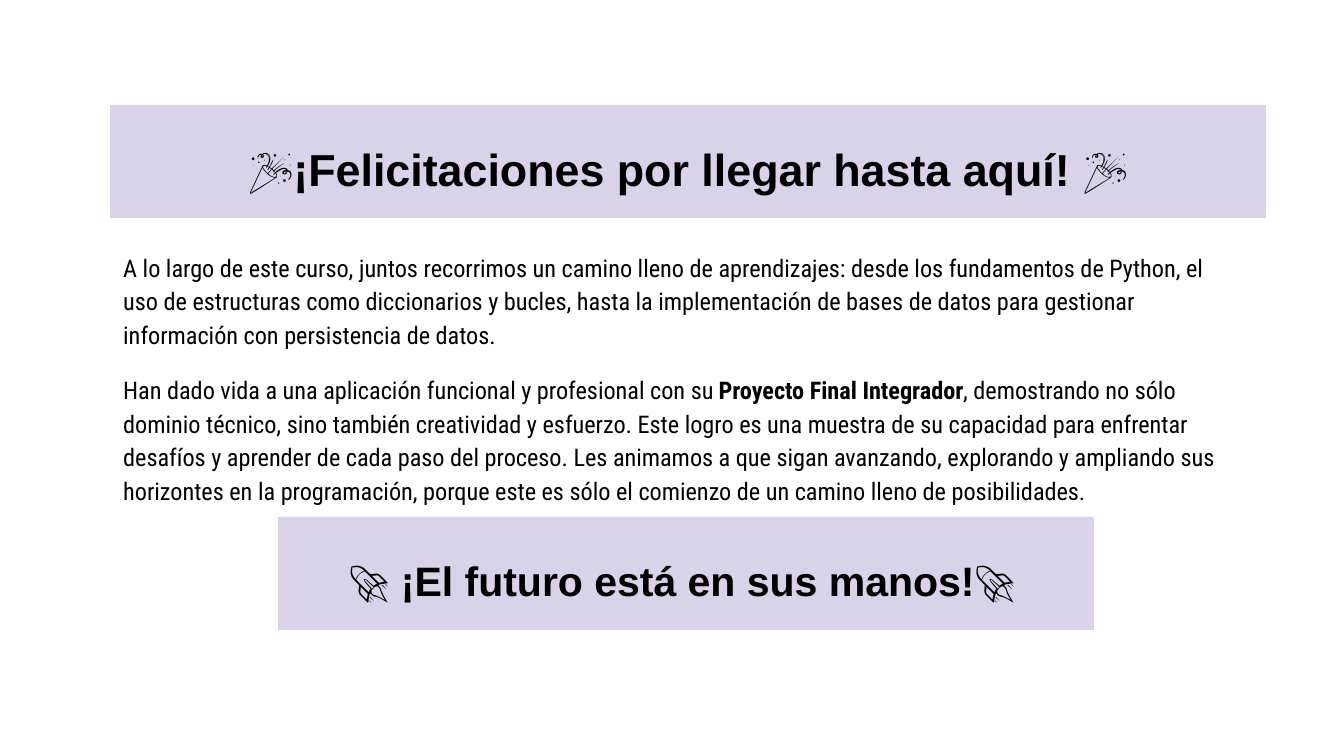
import pptx
import pptx.dml.color
import pptx.enum.shapes
import pptx.enum.text
import pptx.util

SCALE = 914400 / 134.4  # EMU per px
COLORS = {"band": "D9D2E9", "text": "000000"}
LEFT, WIDTH = 110, 1156


def px(*sizes):
    return [pptx.util.Emu(round(size * SCALE)) for size in sizes]


def color(name):
    return pptx.dml.color.RGBColor.from_string(COLORS[name])


class Page:
    def __init__(self, slide):
        self.slide = slide
        self.head_font = "Arial"
        self.body_font = "Roboto Condensed"
        self.inset = pptx.util.Inches(0.1)

    def band(self, *box):
        shape = self.slide.shapes.add_shape(
            pptx.enum.shapes.MSO_SHAPE.RECTANGLE, *px(*box))
        shape.shadow.inherit = False
        shape.fill.solid()
        shape.fill.fore_color.rgb = color("band")
        shape.line.fill.background()

    def frame(self, *box):
        frame = self.slide.shapes.add_textbox(*px(*box)).text_frame
        frame.word_wrap = True
        frame.auto_size = pptx.enum.text.MSO_AUTO_SIZE.SHAPE_TO_FIT_TEXT
        frame.margin_left = frame.margin_right = self.inset
        frame.margin_top = frame.margin_bottom = self.inset
        return frame

    def style(self, para, font, size, before, after):
        para.line_spacing = 1.15
        para.space_before = pptx.util.Pt(before)
        para.space_after = pptx.util.Pt(after)
        para.font.name = font
        para.font.size = pptx.util.Pt(size)
        para.font.color.rgb = color("text")

    def title(self, text, size, *box):
        para = self.frame(*box).paragraphs[0]
        para.text = text
        para.alignment = pptx.enum.text.PP_ALIGN.CENTER
        self.style(para, self.head_font, size, 14, 4)
        para.font.bold = True

    def body(self, paras, *box):
        """Each paragraph is a list of runs, plain and bold by turns."""
        frame = self.frame(*box)
        for i, runs in enumerate(paras):
            para = frame.add_paragraph() if i else frame.paragraphs[0]
            last = i == len(paras) - 1
            self.style(para, self.body_font, 13, 12, 12 if last else 0)
            for j, text in enumerate(runs):
                run = para.add_run()
                run.text = text
                if j % 2:
                    run.font.bold = True


def main():
    deck = pptx.Presentation()
    deck.slide_width, deck.slide_height = px(1344, 756)
    page = Page(deck.slides.add_slide(deck.slide_layouts[6]))

    # Opening band
    page.band(LEFT, 105, WIDTH, 113)
    page.title("🎉¡Felicitaciones por llegar hasta aquí! 🎉", 24,
               LEFT, 120, WIDTH, 82)

    # Message
    page.body([
        ["A lo largo de este curso, juntos recorrimos un camino lleno de "
         "aprendizajes: desde los fundamentos de Python, el uso de "
         "estructuras como diccionarios y bucles, hasta la implementación "
         "de bases de datos para gestionar información con persistencia "
         "de datos."],
        ["Han dado vida a una aplicación funcional y profesional con su ",
         "Proyecto Final Integrador",
         ", demostrando no sólo dominio técnico, sino también creatividad "
         "y esfuerzo. Este logro es una muestra de su capacidad para "
         "enfrentar desafíos y aprender de cada paso del proceso. Les "
         "animamos a que sigan avanzando, explorando y ampliando sus "
         "horizontes en la programación, porque este es sólo el comienzo "
         "de un camino lleno de posibilidades."],
    ], LEFT, 235, 1138, 282)

    # Closing band
    page.band(278, 517, 816, 113)
    page.title("🚀 ¡El futuro está en sus manos!🚀 ", 22,
               LEFT, 535, WIDTH, 77)

    deck.save("out.pptx")


if __name__ == "__main__":
    main()
